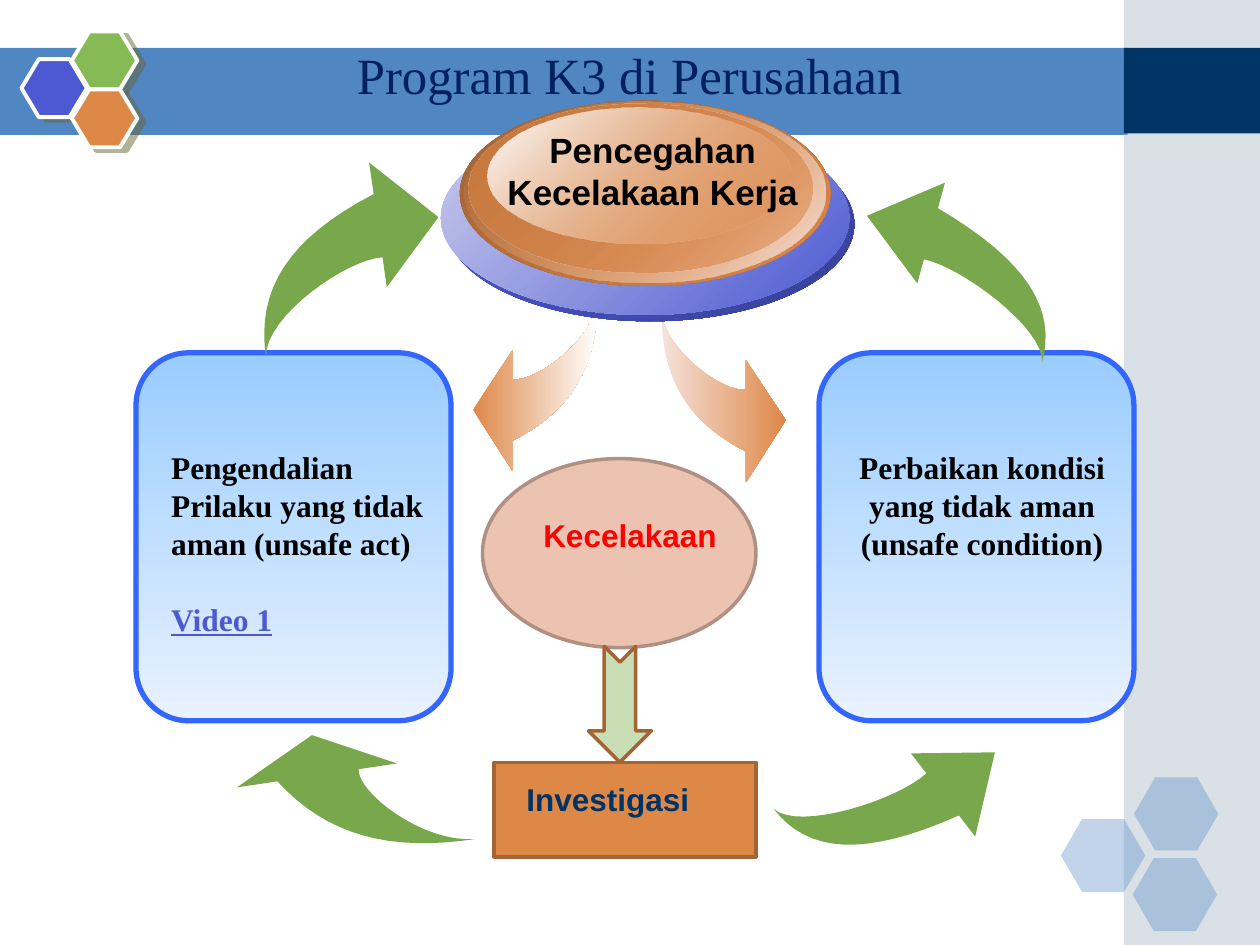
import pptx
import pptx.dml.color
import pptx.enum.shapes
import pptx.enum.text
import pptx.oxml.ns
import pptx.util
from dataclasses import dataclass
from lxml import etree

Inches = pptx.util.Inches
SHAPE = pptx.enum.shapes.MSO_SHAPE
ALIGN = pptx.enum.text.PP_ALIGN
ANCHOR = pptx.enum.text.MSO_ANCHOR


@dataclass(frozen=True)
class Theme:
    serif: str = "Times New Roman"
    sans: str = "Arial"
    title_size: int = 29
    goal_size: int = 20
    body_size: int = 18
    line_pitch: float = 1.2
    black: str = "000000"
    white: str = "FFFFFF"
    title: str = "002060"
    navy: str = "003366"
    steel: str = "5086C2"
    mist: str = "A0B5C4"
    blue: str = "4C59D2"
    deep_blue: str = "384199"
    pale_blue: str = "CACCEC"
    green: str = "85BA54"
    leaf: str = "78A84B"
    pale_leaf: str = "C9DEB5"
    orange: str = "DE8848"
    copper: str = "C97B41"
    bronze: str = "9F6134"
    brown: str = "A46535"
    peach: str = "F5E2DA"
    blush: str = "ECC3B1"
    taupe: str = "AF9083"
    red: str = "FF0000"
    sky: str = "99CCFF"
    ice: str = "E9F2FF"
    frame: str = "3366FF"
    badge_shadow: str = "666633"


T = Theme()

TITLE = ["Program K3 di Perusahaan"]
GOAL = ["Pencegahan", "Kecelakaan Kerja"]
UNSAFE_ACT = ["Pengendalian", "Prilaku yang tidak aman (unsafe act)", "Video 1"]
UNSAFE_CONDITION = ["Perbaikan kondisi yang tidak aman", "(unsafe condition)"]
ACCIDENT = ["Kecelakaan"]
INVESTIGATION = ["Investigasi"]

BANDS = [
    ((0, 0.38, 8.95, 0.69), (T.steel, 100)),
    ((8.92, 0, 1.08, 7.5), (T.mist, 40)),
    ((8.92, 0.38, 1.08, 0.68), (T.navy, 100)),
]
BADGES = [(0.17, 0.47, T.blue), (0.57, 0.25, T.green), (0.57, 0.71, T.orange)]
CORNER_HEXAGONS = [(8.42, 6.5), (9, 6.17), (8.99, 6.81)]
GOAL_RINGS = [
    ((3.54, 1.01, 3.24, 1.54), (T.blue, 100), (T.deep_blue, 100)),
    ((3.5, 0.96, 3.24, 1.54), (T.pale_blue, 100), (T.blue, 100)),
    ((3.65, 0.8, 2.94, 1.47), (T.bronze, 100), (T.orange, 100)),
    ((3.69, 0.81, 2.86, 1.43), (T.orange, 0), (T.peach, 100)),
    ((3.72, 0.82, 2.73, 1.34), (T.copper, 100), (T.orange, 48)),
    ((3.87, 0.85, 2.4, 1.08), (T.white, 100), (T.orange, 38)),
]

GOAL_ARROWS = [
    (dict(tail=(4.74, 2.39), outer_wing=(4.07, 3.74), inner_wing=(4.07, 2.78)),
     (T.orange, 100), (T.white, 100)),
    (dict(tail=(5.25, 2.47), outer_wing=(5.92, 3.83), inner_wing=(5.92, 2.86)),
     (T.peach, 100), (T.orange, 100)),
]
CYCLE_ARROWS = [
    dict(tail=(6.14, 6.42), outer_wing=(7.74, 6.64), inner_wing=(7.23, 5.98)),
    dict(tail=(3.77, 6.66), outer_wing=(1.88, 6.25), inner_wing=(3.15, 6.06)),
    dict(tail=(8.27, 2.88), outer_wing=(7.5, 1.45), inner_wing=(7.28, 2.25)),
    dict(tail=(2.11, 2.83), outer_wing=(2.93, 1.29), inner_wing=(3.07, 2.28)),
]

UNIT_OUTER_EDGE = [(0, 0), (0, 0.38), (0.2, 0.64), (0.68, 0.82)]
UNIT_INNER_EDGE = [(0.68, 0.46), (0.5, 0.48), (0.03, 0.23), (0, 0)]
UNIT_OUTER_WING, UNIT_TIP, UNIT_INNER_WING = (0.68, 1), (1, 0.64), (0.68, 0.29)
CURVE_STEPS = 16


def bezier(controls):
    points = []
    for step in range(CURVE_STEPS + 1):
        t = step / CURVE_STEPS
        weights = (1 - t) ** 3, 3 * t * (1 - t) ** 2, 3 * t ** 2 * (1 - t), t ** 3
        points.append(tuple(sum(w * c for w, c in zip(weights, axis))
                            for axis in zip(*controls)))
    return points


UNIT_ARROW = (bezier(UNIT_OUTER_EDGE) + [UNIT_OUTER_WING, UNIT_TIP, UNIT_INNER_WING]
              + bezier(UNIT_INNER_EDGE)[:-1])


def fit_unit_arrow(tail, outer_wing, inner_wing):
    reach, spread = UNIT_INNER_WING[0], UNIT_OUTER_WING[1] - UNIT_INNER_WING[1]
    across = [(outer - inner) / spread for outer, inner in zip(outer_wing, inner_wing)]
    along = [(inner - start - UNIT_INNER_WING[1] * side) / reach
             for inner, start, side in zip(inner_wing, tail, across)]
    return [tuple(Inches(start + u * forward + v * side)
                  for start, forward, side in zip(tail, along, across))
            for u, v in UNIT_ARROW]


def rgb(code):
    return pptx.dml.color.RGBColor.from_string(code)


def add_node(parent, tag, **attributes):
    return etree.SubElement(parent, pptx.oxml.ns.qn(tag), attributes)


def paint(shape, *stops, angle=0, line=None):
    shape.shadow.inherit = False
    if len(stops) == 1:
        shape.fill.solid()
        shape.fill.fore_color.rgb = rgb(stops[0][0])
    else:
        shape.fill.gradient()
        shape.fill.gradient_angle = (360 - angle) % 360
        for position, (stop, (color, _)) in enumerate(zip(shape.fill.gradient_stops, stops)):
            stop.position = position
            stop.color.rgb = rgb(color)
    fill_colors = list(shape._element.spPr.iter(pptx.oxml.ns.qn("a:srgbClr")))
    for node, (_, opacity) in zip(fill_colors, stops):
        if opacity < 100:
            add_node(node, "a:alpha", val=str(opacity * 1000))
    if line:
        shape.line.color.rgb = rgb(line[0])
        shape.line.width = pptx.util.Pt(line[1])
    else:
        shape.line.fill.background()
    return shape


def add_preset(slide, kind, box, *stops, adjust=None, **look):
    shape = slide.shapes.add_shape(kind, *map(Inches, box))
    if adjust is not None:
        shape.adjustments[0] = adjust
    return paint(shape, *stops, **look)


def add_curved_arrow(slide, anchors, *stops):
    tail, *outline = fit_unit_arrow(**anchors)
    builder = slide.shapes.build_freeform(*tail, scale=1.0)
    builder.add_line_segments(outline, close=True)
    paint(builder.convert_to_shape(), *stops)


def add_text(slide, box, lines, font, size, color, bold=True, align=ALIGN.CENTER,
             wrap=True, anchor=ANCHOR.TOP):
    frame = slide.shapes.add_textbox(*map(Inches, box)).text_frame
    frame.word_wrap = wrap
    frame.vertical_anchor = anchor
    frame.text = "\n".join(lines)
    for paragraph in frame.paragraphs:
        paragraph.alignment = align
        paragraph.line_spacing = pptx.util.Pt(size * T.line_pitch)
        paragraph.font.name = font
        paragraph.font.size = pptx.util.Pt(size)
        paragraph.font.bold = bold
        paragraph.font.color.rgb = rgb(color)
    return frame.paragraphs


def add_badge(slide, x, y, color):
    badge = add_preset(slide, SHAPE.HEXAGON, (x, y, 0.52, 0.46), (color, 100),
                       adjust=0.3, line=(T.white, 2.25))
    effects = badge._element.spPr.find(pptx.oxml.ns.qn("a:effectLst"))
    shadow = add_node(effects, "a:outerShdw", blurRad="0",
                      dist=str(pptx.util.Pt(4.5)), dir=str(27 * 60000))
    add_node(add_node(shadow, "a:srgbClr", val=T.badge_shadow), "a:alpha", val="50000")


def add_panel(slide, left, lines, align):
    add_preset(slide, SHAPE.ROUNDED_RECTANGLE, (left, 2.8, 2.5, 2.92), (T.sky, 100),
               (T.ice, 100), angle=90, line=(T.frame, 3))
    return add_text(slide, (left + 0.18, 3.51, 2.23, 1.65), lines, T.serif, T.body_size,
                    T.black, align=align)


def main():
    deck = pptx.Presentation()
    deck.slide_width, deck.slide_height = Inches(10), Inches(7.5)
    slide = deck.slides.add_slide(deck.slide_layouts[6])

    for box, color in BANDS:
        add_preset(slide, SHAPE.RECTANGLE, box, color)
    for x, y in CORNER_HEXAGONS:
        add_preset(slide, SHAPE.HEXAGON, (x, y, 0.67, 0.58), (T.steel, 35), adjust=0.29)
    for badge in BADGES:
        add_badge(slide, *badge)

    video = add_panel(slide, 1.08, UNSAFE_ACT, ALIGN.LEFT)[-1]
    video.space_before = pptx.util.Pt(T.body_size * T.line_pitch)
    video.font.color.rgb = rgb(T.blue)
    video.font.underline = True
    add_panel(slide, 6.5, UNSAFE_CONDITION, ALIGN.CENTER)

    for anchors, start, end in GOAL_ARROWS:
        add_curved_arrow(slide, anchors, start, end)
    for box, start, end in GOAL_RINGS:
        add_preset(slide, SHAPE.OVAL, box, start, end, angle=45)
    add_text(slide, (3.92, 0.97, 2.52, 0.77), GOAL, T.sans, T.goal_size, T.black, wrap=False)

    add_preset(slide, SHAPE.RECTANGLE, (3.92, 6.05, 2.08, 0.75), (T.orange, 100),
               line=(T.brown, 2))
    add_text(slide, (4.08, 6.14, 1.83, 0.4), INVESTIGATION, T.sans, T.body_size, T.navy,
             align=ALIGN.LEFT)
    add_preset(slide, SHAPE.OVAL, (3.83, 3.64, 2.17, 1.5), (T.blush, 100), line=(T.taupe, 2))
    add_text(slide, (4, 4.05, 2, 0.4), ACCIDENT, T.sans, T.body_size, T.red)
    add_preset(slide, SHAPE.NOTCHED_RIGHT_ARROW, (4.46, 5.34, 0.92, 0.5), (T.pale_leaf, 100),
               line=(T.brown, 2)).rotation = 90
    for anchors in CYCLE_ARROWS:
        add_curved_arrow(slide, anchors, (T.leaf, 100))
    add_text(slide, (0, 0.09, 10, 1), TITLE, T.serif, T.title_size, T.title, bold=False,
             anchor=ANCHOR.MIDDLE)
    deck.save("out.pptx")


if __name__ == "__main__":
    main()
